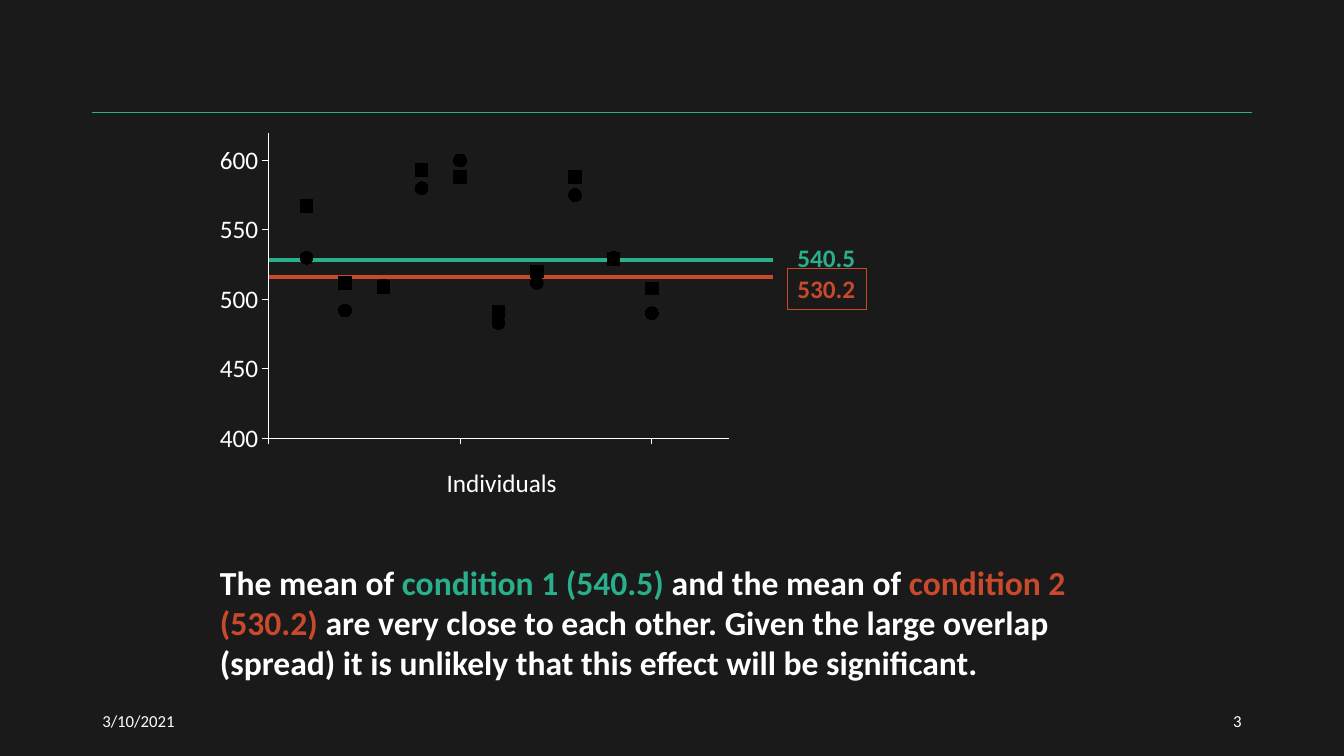
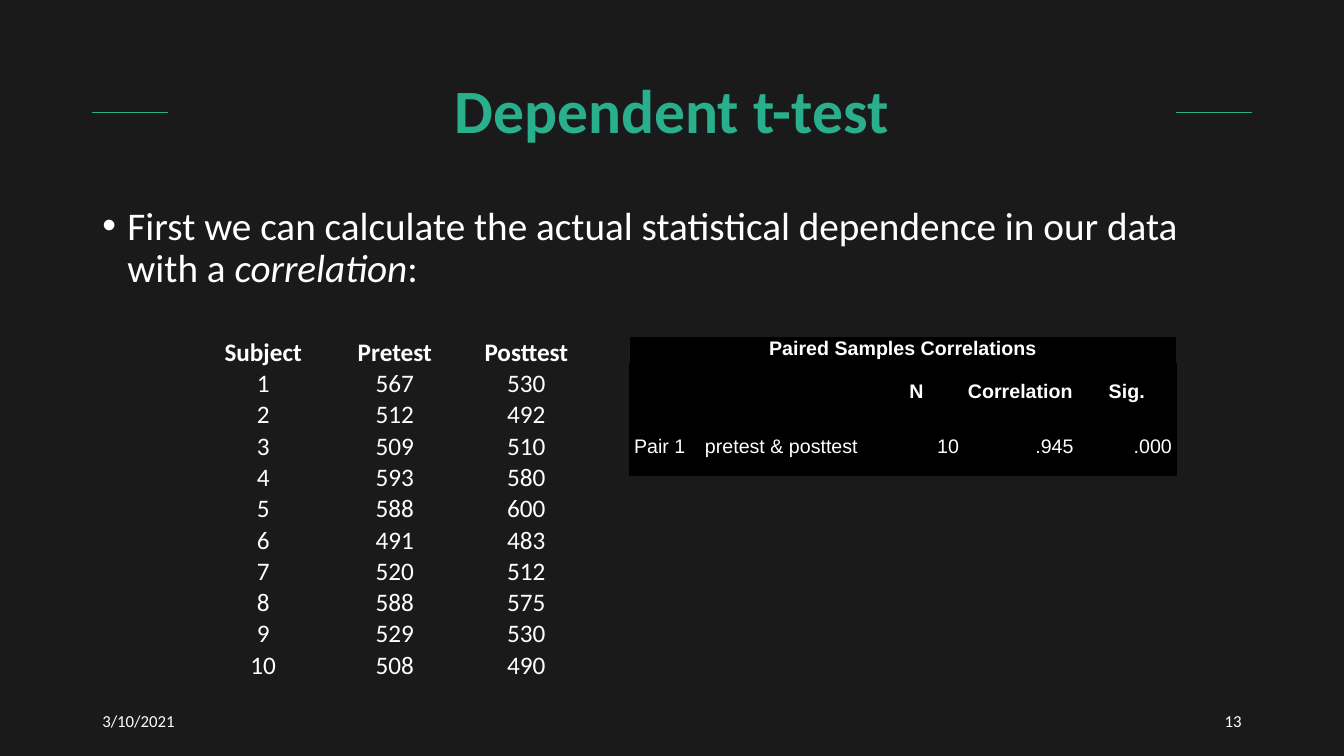
from lxml import etree
from pptx import Presentation
from pptx.chart.data import XyChartData
from pptx.dml.color import RGBColor
from pptx.enum.chart import XL_CHART_TYPE, XL_MARKER_STYLE, XL_TICK_LABEL_POSITION, XL_TICK_MARK
from pptx.enum.shapes import MSO_CONNECTOR
from pptx.enum.text import MSO_ANCHOR, PP_ALIGN
from pptx.oxml import parse_xml
from pptx.oxml.ns import nsdecls, qn
from pptx.util import Emu, Inches, Pt

COLUMNS, ROWS = 160, 90
UNIT = Inches(1) / 12
BACKGROUND, WHITE, BLACK = "1A1A1A", "FFFFFF", "000000"
GREEN, RED = "29AF8C", "C9492C"
MARGIN = 11
CONTENT_WIDTH = COLUMNS - 2 * MARGIN
RULE_ROW = 13.33
NO_STYLE = "{2D5ABB26-0587-4C30-8999-92F81FD0307C}"

PRETEST = [567, 512, 509, 593, 588, 491, 520, 588, 529, 508]
POSTTEST = [530, 492, 510, 580, 600, 483, 512, 575, 530, 490]
SUBJECTS = range(1, len(PRETEST) + 1)


def grid(units):
    return Emu(round(units * UNIT))


def place(box):
    return [grid(units) for units in box]


def color(value):
    return RGBColor.from_string(value)


def style_font(font, size, shade=WHITE, bold=False, italic=False, name="Calibri"):
    font.name, font.size = name, Pt(size)
    font.bold, font.italic = bold, italic
    font.color.rgb = color(shade)


def add_text(slide, box, pieces, size, align=PP_ALIGN.LEFT, anchor=MSO_ANCHOR.TOP, wrap=True):
    shape = slide.shapes.add_textbox(*place(box))
    frame = shape.text_frame
    frame.word_wrap, frame.vertical_anchor = wrap, anchor
    paragraph = frame.paragraphs[0]
    paragraph.alignment = align
    for text, style in pieces:
        run = paragraph.add_run()
        run.text = text
        style_font(run.font, size, **style)
    return shape


def add_line(slide, left, right, row, shade, width):
    ends = place((left, row, right, row))
    connector = slide.shapes.add_connector(MSO_CONNECTOR.STRAIGHT, *ends)
    connector.line.color.rgb = color(shade)
    connector.line.width = Pt(width)
    etree.SubElement(connector._element.spPr, qn("a:effectLst"))


def add_base_slide(presentation, number):
    slide = presentation.slides.add_slide(presentation.slide_layouts[6])
    fill = slide.background.fill
    fill.solid()
    fill.fore_color.rgb = color(BACKGROUND)
    add_line(slide, MARGIN, COLUMNS - MARGIN, RULE_ROW, GREEN, 0.5)
    width = 36
    for left, text, align in ((MARGIN, "3/10/2021", PP_ALIGN.LEFT),
                              (COLUMNS - MARGIN - width, number, PP_ALIGN.RIGHT)):
        add_text(slide, (left, 83.4, width, 4.8), [(text, {})], 12, align, MSO_ANCHOR.MIDDLE)
    return slide


def add_title(slide, box, text):
    shape = add_text(slide, box, [(text, {"shade": GREEN, "bold": True})], 44,
                     PP_ALIGN.CENTER, MSO_ANCHOR.MIDDLE)
    shape.fill.solid()
    shape.fill.fore_color.rgb = color(BACKGROUND)
    shape.text_frame.paragraphs[0].line_spacing = 0.9


def add_bullet(slide, box, pieces):
    paragraph = add_text(slide, box, pieces, 28).text_frame.paragraphs[0]
    paragraph.line_spacing = 0.9
    properties = paragraph._p.get_or_add_pPr()
    properties.set("marL", str(Inches(0.25)))
    properties.set("indent", str(-Inches(0.25)))
    etree.SubElement(properties, qn("a:buFont")).set("typeface", "Arial")
    etree.SubElement(properties, qn("a:buChar")).set("char", "•")


def set_inner_plot(chart, left, top, width, height):
    plot_area = chart._chartSpace.chart.plotArea
    for layout in plot_area.findall(qn("c:layout")):
        plot_area.remove(layout)
    sizes = "".join(f'<c:{tag} val="{value}"/>' for tag, value in
                    zip("xywh", (left, top, width, height)))
    plot_area.insert(0, parse_xml(
        f'<c:layout {nsdecls("c")}><c:manualLayout><c:layoutTarget val="inner"/>'
        f'<c:xMode val="edge"/><c:yMode val="edge"/>{sizes}</c:manualLayout></c:layout>'))


def style_axis(axis, low, high, step):
    axis.minimum_scale, axis.maximum_scale, axis.major_unit = low, high, step
    axis.has_major_gridlines = False
    axis.major_tick_mark, axis.minor_tick_mark = XL_TICK_MARK.OUTSIDE, XL_TICK_MARK.NONE
    axis.format.line.color.rgb = color(WHITE)
    axis.format.line.width = Pt(0.75)
    style_font(axis.tick_labels.font, 18)


def add_scatter(slide, box):
    data = XyChartData()
    for name, scores in (("Series 1", POSTTEST), ("Series 2", PRETEST)):
        series = data.add_series(name)
        for subject, score in zip(SUBJECTS, scores):
            series.add_data_point(subject, score)
    chart = slide.shapes.add_chart(XL_CHART_TYPE.XY_SCATTER, *place(box), data).chart
    chart.has_legend = chart.has_title = False
    style_font(chart.font, 18)
    style_axis(chart.category_axis, 0, 12, 5)
    style_axis(chart.value_axis, 400, 620, 50)
    chart.category_axis.tick_label_position = XL_TICK_LABEL_POSITION.NONE
    set_inner_plot(chart, 0.11, 0.02, 0.87, 0.91)
    plot = chart.plots[0]
    plot.vary_by_categories = False
    for series, symbol in zip(plot.series, (XL_MARKER_STYLE.CIRCLE, XL_MARKER_STYLE.SQUARE)):
        series.smooth = False
        series.format.line.fill.background()
        marker = series.marker
        marker.style, marker.size = symbol, 9
        marker.format.fill.solid()
        marker.format.fill.fore_color.rgb = color(BLACK)
        marker.format.line.color.rgb = color(BLACK)


def add_mean_plot(slide, box):
    left, top, width, height = box
    for row, shade in ((18, RED), (16, GREEN)):
        add_line(slide, left + 7, left + 67, top + row, shade, 3)
    add_scatter(slide, box)
    for row, text, shade in ((17, "530.2", RED), (13.2, "540.5", GREEN)):
        label = add_text(slide, (left + 68.75, top + row, 9.4, 4.85),
                         [(text, {"shade": shade, "bold": True})], 18, wrap=False)
        if shade == RED:
            label.line.color.rgb = color(RED)
            label.line.width = Pt(0.75)
    add_text(slide, (left + 27, top + height, 15.6, 4.85), [("Individuals", {})], 18, wrap=False)


def add_plain_table(slide, box, widths, heights):
    frame = slide.shapes.add_table(len(heights), len(widths), *place(box))
    table = frame.table
    table.first_row = table.horz_banding = False
    table._tbl.tblPr.find(qn("a:tableStyleId")).text = NO_STYLE
    for column, width in zip(table.columns, widths):
        column.width = grid(width)
    for row, height in zip(table.rows, heights):
        row.height = grid(height)
    return table


def fill_cell(cell, text, size, align, anchor, fill=None, **style):
    cell.margin_left = cell.margin_right = cell.margin_top = cell.margin_bottom = 0
    cell.vertical_anchor = anchor
    if fill:
        cell.fill.solid()
        cell.fill.fore_color.rgb = color(fill)
    else:
        cell.fill.background()
    paragraph = cell.text_frame.paragraphs[0]
    paragraph.text = text
    paragraph.alignment = align
    for run in paragraph.runs:
        style_font(run.font, size, **style)
    return paragraph


def add_borders(cell, sides):
    properties = cell._tc.get_or_add_tcPr()
    for index, side in enumerate(sides):
        properties.insert(index, parse_xml(
            f'<a:ln{side} {nsdecls("a")} w="{Pt(2.25)}"><a:solidFill>'
            f'<a:srgbClr val="{BLACK}"/></a:solidFill></a:ln{side}>'))


def add_score_table(slide, box):
    rows = [("Subject", "Pretest", "Posttest"), *zip(SUBJECTS, PRETEST, POSTTEST)]
    width, height = box[2] / 3, box[3] / len(rows)
    table = add_plain_table(slide, box, [width] * 3, [height] * len(rows))
    for row, values in enumerate(rows):
        for column, value in enumerate(values):
            fill_cell(table.cell(row, column), str(value), 18, PP_ALIGN.CENTER,
                      MSO_ANCHOR.BOTTOM, bold=row == 0)


def add_correlation_table(slide, box):
    rows = [("Paired Samples Correlations", "", "", "", ""),
            ("", "", "N", "Correlation", "Sig."),
            ("Pair 1", "pretest & posttest", "10", ".945", ".000")]
    widths = [box[2] * share for share in (0.13, 0.31, 0.17, 0.21, 0.18)]
    heights = [box[3] * share for share in (0.2, 0.4, 0.4)]
    table = add_plain_table(slide, box, widths, heights)
    for row, values in enumerate(rows):
        for column, text in enumerate(values):
            cell = table.cell(row, column)
            align = PP_ALIGN.CENTER
            if row == 2:
                align = PP_ALIGN.LEFT if column < 2 else PP_ALIGN.RIGHT
            anchor = MSO_ANCHOR.MIDDLE if row else MSO_ANCHOR.TOP
            paragraph = fill_cell(cell, text, 14, align, anchor, BLACK, bold=row < 2, name="Arial")
            paragraph.line_spacing = Pt(16)
            for side in ("marL", "marR"):
                paragraph._p.get_or_add_pPr().set(side, str(Inches(0.04)))
            add_borders(cell, "LRTB" if row else "B")
    table.cell(0, 0).merge(table.cell(0, 4))
    table.cell(1, 0).merge(table.cell(1, 1))


def build_means_slide(presentation):
    slide = add_base_slide(presentation, "3")
    add_mean_plot(slide, (25, 15, 63, 40))
    pieces = [("The mean of ", WHITE), ("condition 1 (540.5) ", GREEN),
              ("and the mean of ", WHITE), ("condition 2 (530.2)", RED),
              (" are very close to each other. Given the large overlap (spread) "
               "it is unlikely that this effect will be significant.", WHITE)]
    add_text(slide, (25, 66.25, 111, 15.75),
             [(text, {"shade": shade, "bold": True}) for text, shade in pieces], 24)


def build_correlation_slide(presentation):
    slide = add_base_slide(presentation, "13")
    add_title(slide, (20, 4.8, 120, 17.4), "Dependent t-test")
    add_bullet(slide, (MARGIN, 24, CONTENT_WIDTH, 57), [
        ("First we can calculate the actual statistical dependence in our data with a ", {}),
        ("correlation", {"italic": True}), (":", {})])
    add_score_table(slide, (23.5, 40.1, 47, 41))
    add_correlation_table(slide, (75, 40.1, 65, 16.4))


def main():
    presentation = Presentation()
    presentation.slide_width, presentation.slide_height = grid(COLUMNS), grid(ROWS)
    build_means_slide(presentation)
    build_correlation_slide(presentation)
    presentation.save("out.pptx")


if __name__ == "__main__":
    main()
